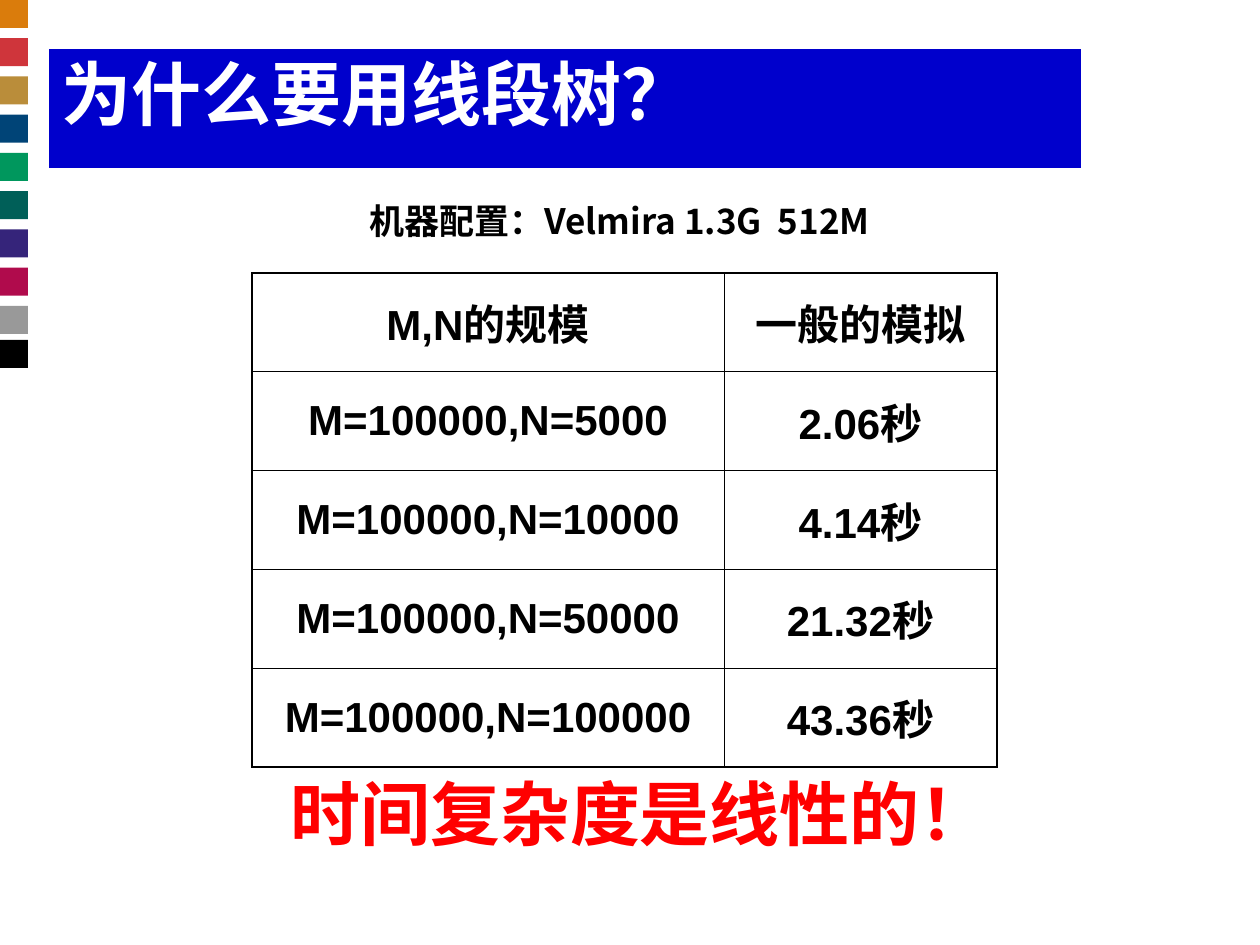
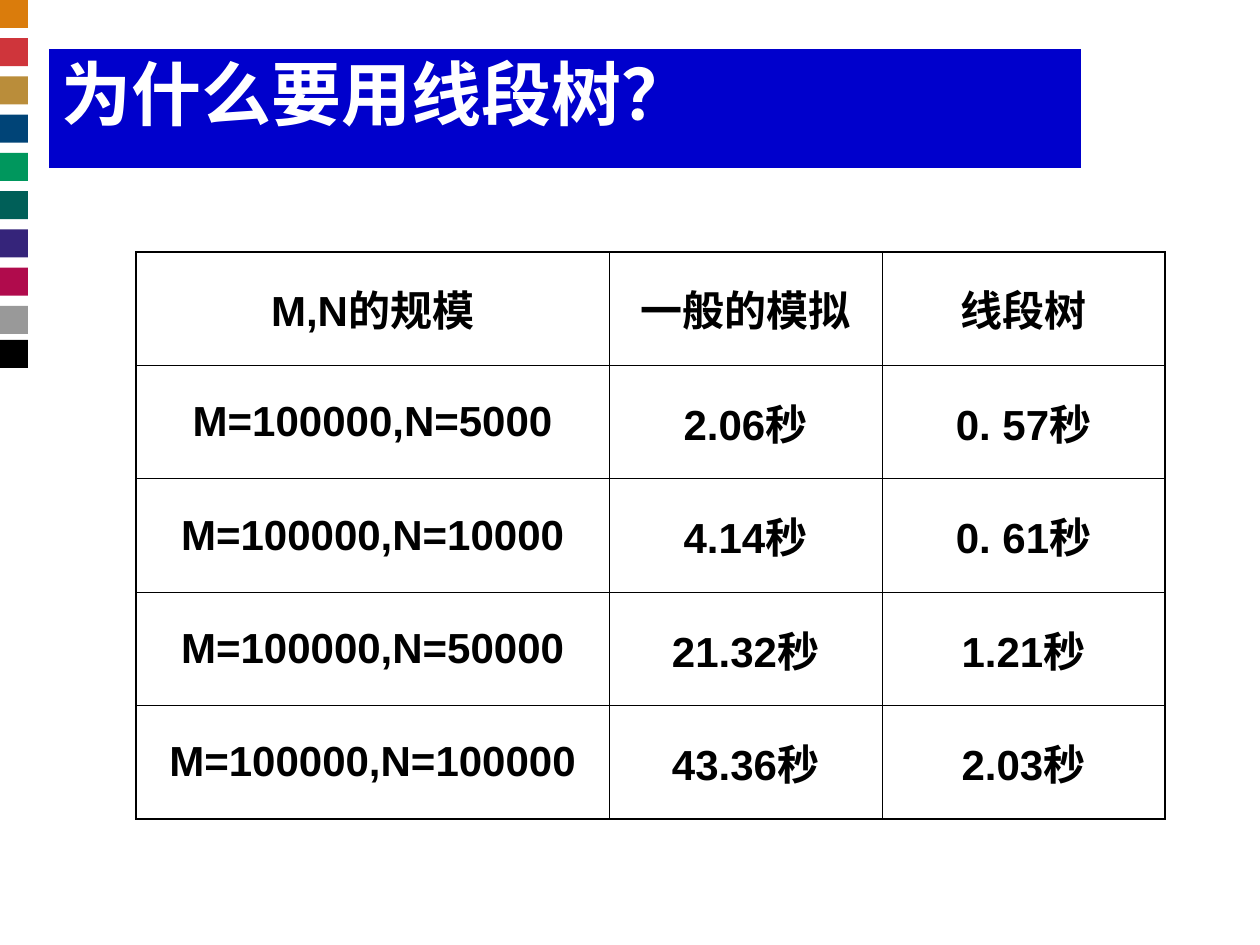
from lxml.etree import SubElement
from pptx import Presentation
from pptx.dml.color import RGBColor
from pptx.enum.shapes import MSO_SHAPE
from pptx.enum.text import MSO_ANCHOR, MSO_AUTO_SIZE, PP_ALIGN
from pptx.oxml.ns import qn
from pptx.util import Emu, Pt

EMU_PER_PX = 914400 / 126

WHITE = RGBColor(0xFF, 0xFF, 0xFF)
BLACK = RGBColor(0x00, 0x00, 0x00)
BLUE = RGBColor(0x00, 0x00, 0xCC)
RED = RGBColor(0xFF, 0x00, 0x00)
CHIP_COLORS = [
    RGBColor(0xDA, 0x7C, 0x0C),
    RGBColor(0xCF, 0x35, 0x3B),
    RGBColor(0xBA, 0x8D, 0x3A),
    RGBColor(0x00, 0x44, 0x77),
    RGBColor(0x00, 0x97, 0x5D),
    RGBColor(0x00, 0x5F, 0x58),
    RGBColor(0x35, 0x24, 0x7A),
    RGBColor(0xB0, 0x0B, 0x4C),
    RGBColor(0x99, 0x99, 0x99),
]
CHIP_SIZE = 28
CHIP_SPAN = 306
BLACK_CHIP_TOP = 340

LATIN_FONT = "Arial"
CJK_FONT = "Noto Sans CJK SC"
LINE_SPACING = 0.88
OUTER_BORDER = Pt(1.08)
INNER_BORDER = Pt(0.45)

TITLE = "为什么要用线段树？"
SIZES = ["M,N的规模", "M=100000,N=5000", "M=100000,N=10000",
         "M=100000,N=50000", "M=100000,N=100000"]
SIMULATION = ["一般的模拟", "2.06秒", "4.14秒", "21.32秒", "43.36秒"]
SEGMENT_TREE = ["线段树", "0. 57秒", "0. 61秒", "1.21秒", "2.03秒"]


def px(n):
    return Emu(round(n * EMU_PER_PX))


def format_text(tf, size, color, align=PP_ALIGN.CENTER, font=LATIN_FONT, spacing=1.0):
    for p in tf.paragraphs:
        p.alignment = align
        p.line_spacing = spacing
        p.space_before = Pt(0)
        for r in p.runs:
            r.font.size = Pt(size)
            r.font.bold = True
            r.font.color.rgb = color
            r.font.name = font
            SubElement(r.font._element, qn("a:ea"), typeface=CJK_FONT)


def add_chip(slide, top, color):
    s = slide.shapes.add_shape(MSO_SHAPE.RECTANGLE, 0, top, px(CHIP_SIZE), px(CHIP_SIZE))
    s.shadow.inherit = False
    s.fill.solid()
    s.fill.fore_color.rgb = color
    s.line.fill.background()


def set_title(slide, text):
    s = slide.shapes.title
    s.left, s.top, s.width, s.height = px(49), px(49), px(1032), px(119)
    s.fill.solid()
    s.fill.fore_color.rgb = BLUE
    tf = s.text_frame
    tf.text = text
    tf.auto_size = MSO_AUTO_SIZE.NONE
    tf.vertical_anchor = MSO_ANCHOR.TOP
    tf.margin_left = tf.margin_right = tf.margin_top = tf.margin_bottom = Pt(7.2)
    format_text(tf, 40, WHITE, PP_ALIGN.LEFT, spacing=LINE_SPACING)


def add_slide(prs):
    slide = prs.slides.add_slide(prs.slide_layouts[5])
    step = px(CHIP_SPAN) / (len(CHIP_COLORS) - 1)
    for i, color in enumerate(CHIP_COLORS):
        add_chip(slide, round(i * step), color)
    add_chip(slide, px(BLACK_CHIP_TOP), BLACK)
    set_title(slide, TITLE)
    return slide


def add_text(slide, text, left, top, width, height, size, color, font=LATIN_FONT):
    tf = slide.shapes.add_textbox(px(left), px(top), px(width), px(height)).text_frame
    tf.word_wrap = True
    tf.text = text
    format_text(tf, size, color, font=font, spacing=LINE_SPACING)


def set_borders(cell, outer_sides):
    tcPr = cell._tc.get_or_add_tcPr()
    for side in "LRTB":
        width = OUTER_BORDER if side in outer_sides else INNER_BORDER
        ln = SubElement(tcPr, qn(f"a:ln{side}"), w=str(int(width)))
        fill = SubElement(ln, qn("a:solidFill"))
        SubElement(fill, qn("a:srgbClr"), val=str(BLACK))


def add_timing_table(slide, columns, left, top, widths, height):
    n_rows, n_cols = len(columns[0]), len(columns)
    frame = slide.shapes.add_table(n_rows, n_cols, px(left), px(top),
                                   px(sum(widths)), px(height))
    table = frame.table
    table.first_row = table.horz_banding = False
    for row in table.rows:
        row.height = px(height) // n_rows
    for c, (texts, width) in enumerate(zip(columns, widths)):
        table.columns[c].width = px(width)
        for r, text in enumerate(texts):
            cell = table.cell(r, c)
            edges = {"L": c == 0, "R": c == n_cols - 1, "T": r == 0, "B": r == n_rows - 1}
            set_borders(cell, [side for side, outer in edges.items() if outer])
            cell.fill.background()
            cell.vertical_anchor = MSO_ANCHOR.MIDDLE
            cell.text_frame.text = text
            format_text(cell.text_frame, 24, BLACK)


def main():
    prs = Presentation()
    prs.slide_width, prs.slide_height = px(1260), px(945)

    slide = add_slide(prs)
    add_text(slide, "机器配置：Velmira 1.3G  512M", 252, 199, 735, 55, 20, BLACK, CJK_FONT)
    add_timing_table(slide, [SIZES, SIMULATION], 252, 273, [472, 273], 494)
    add_text(slide, "时间复杂度是线性的！", 199, 775, 882, 97, 40, RED)

    slide = add_slide(prs)
    add_timing_table(slide, [SIZES, SIMULATION, SEGMENT_TREE], 136, 252, [473, 273, 283], 567)

    prs.save("out.pptx")


if __name__ == "__main__":
    main()
